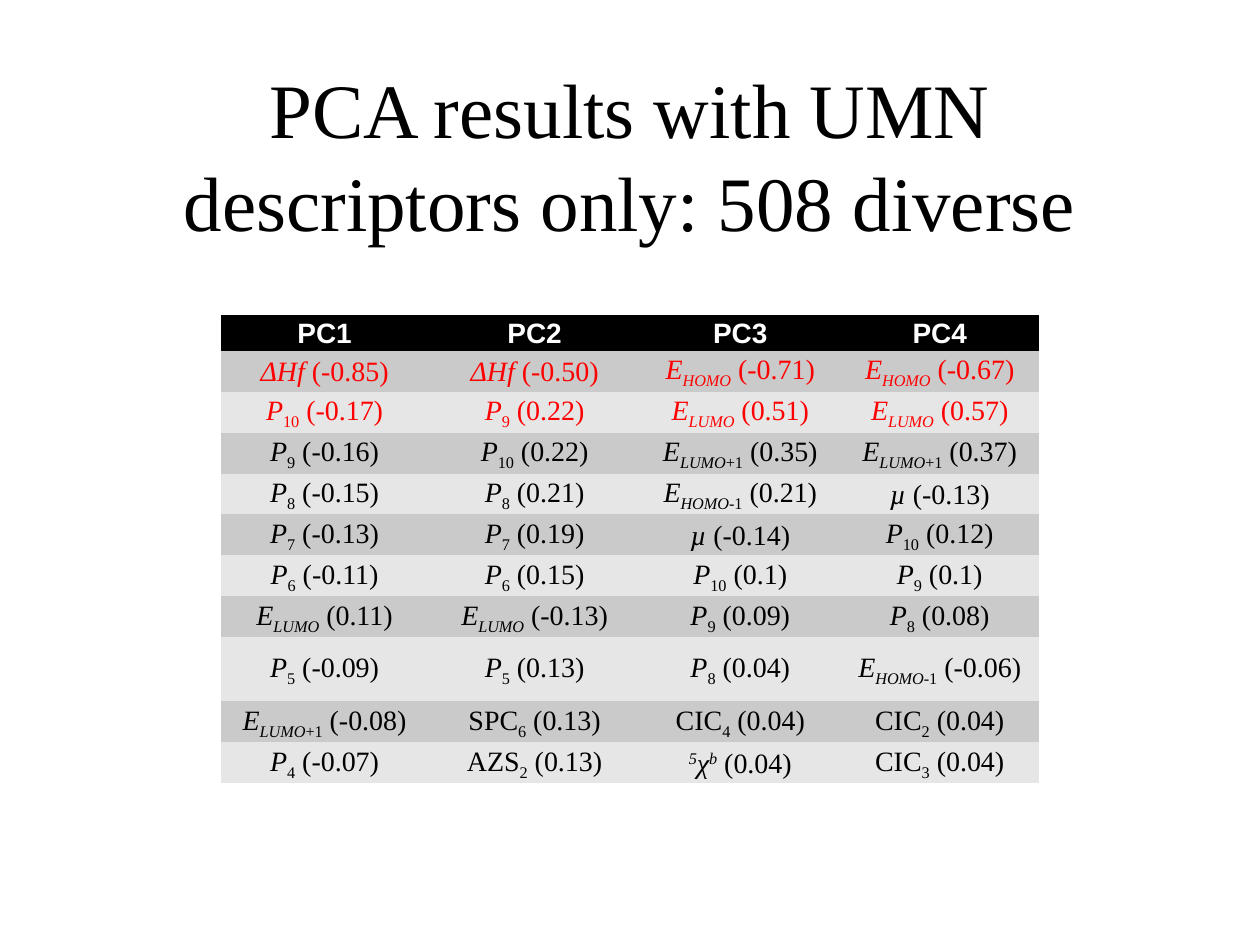
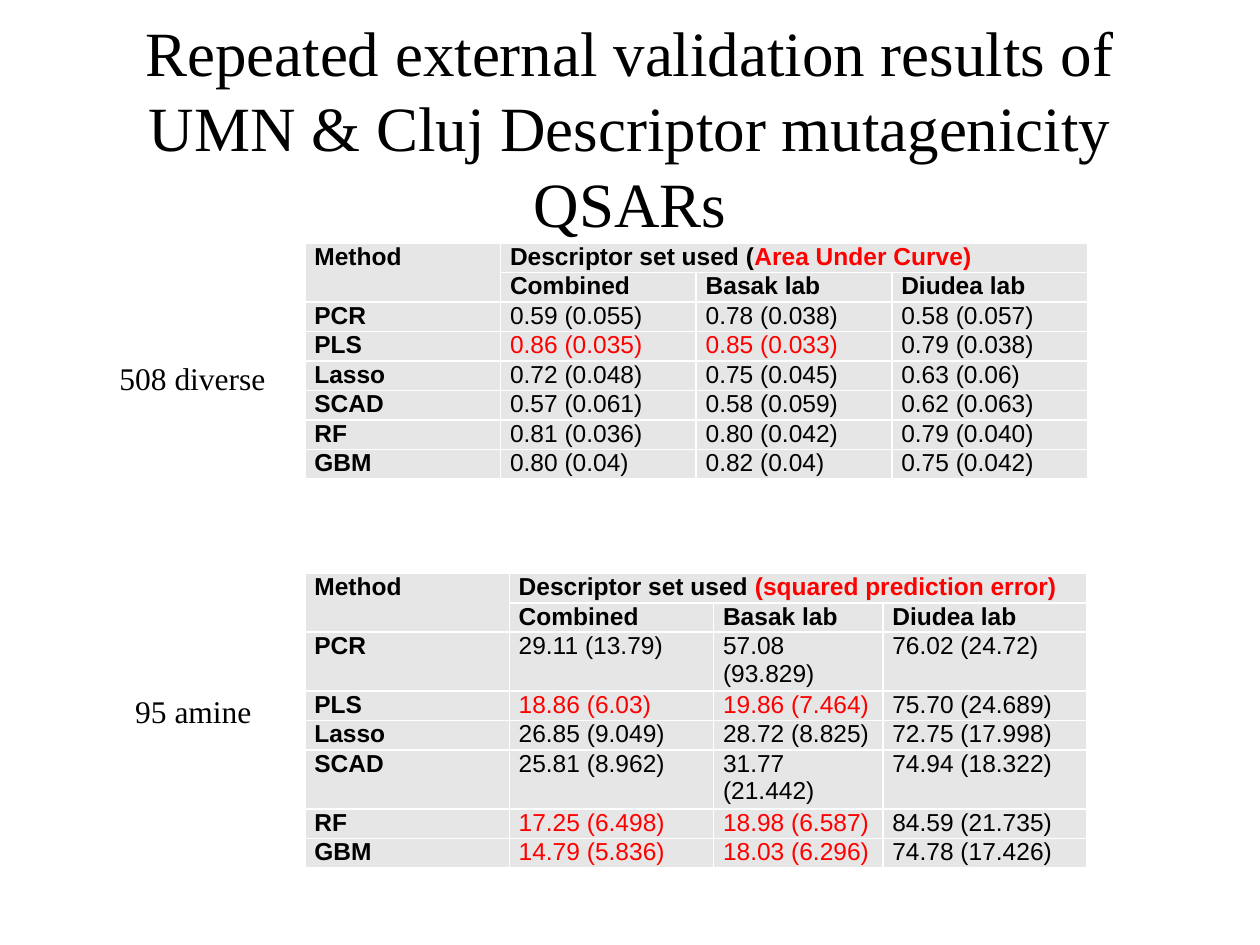
from lxml.etree import SubElement as Sub
from pptx import Presentation
from pptx.dml.color import RGBColor as Rgb
from pptx.enum.text import MSO_ANCHOR as Anchor, PP_ALIGN as Align
from pptx.oxml.ns import qn
from pptx.util import Inches, Pt

COLORS = {"ink": "000000", "paper": "FFFFFF", "hot": "FF0000",
          "dark": "CACACA", "light": "E6E6E6"}
SERIF, SANS = "Times New Roman", "Arial"
COLS, ROWS = 100, 75
PLAIN = "{2D5ABB26-0587-4C30-8999-92F81FD0307C}"

LOADS = [
    ["ΔHf (-0.85)", "ΔHf (-0.50)", "E_HOMO (-0.71)", "E_HOMO (-0.67)"],
    ["P_10 (-0.17)", "P_9 (0.22)", "E_LUMO (0.51)", "E_LUMO (0.57)"],
    ["P_9 (-0.16)", "P_10 (0.22)", "E_LUMO+1 (0.35)", "E_LUMO+1 (0.37)"],
    ["P_8 (-0.15)", "P_8 (0.21)", "E_HOMO-1 (0.21)", "µ (-0.13)"],
    ["P_7 (-0.13)", "P_7 (0.19)", "µ (-0.14)", "P_10 (0.12)"],
    ["P_6 (-0.11)", "P_6 (0.15)", "P_10 (0.1)", "P_9 (0.1)"],
    ["E_LUMO (0.11)", "E_LUMO (-0.13)", "P_9 (0.09)", "P_8 (0.08)"],
    ["P_5 (-0.09)", "P_5 (0.13)", "P_8 (0.04)", "E_HOMO-1 (-0.06)"],
    ["E_LUMO+1 (-0.08)", "SPC_6 (0.13)", "CIC_4 (0.04)", "CIC_2 (0.04)"],
    ["P_4 (-0.07)", "AZS_2 (0.13)", "5χb (0.04)", "CIC_3 (0.04)"],
]
# A leading * marks a score to stress.
AREAS = [
    ["PCR", "0.59 (0.055)", "0.78 (0.038)", "0.58 (0.057)"],
    ["PLS", "*0.86 (0.035)", "*0.85 (0.033)", "0.79 (0.038)"],
    ["Lasso", "0.72 (0.048)", "0.75 (0.045)", "0.63 (0.06)"],
    ["SCAD", "0.57 (0.061)", "0.58 (0.059)", "0.62 (0.063)"],
    ["RF", "0.81 (0.036)", "0.80 (0.042)", "0.79 (0.040)"],
    ["GBM", "0.80 (0.04)", "0.82 (0.04)", "0.75 (0.042)"],
]
ERRORS = [
    ["PCR", "29.11 (13.79)", "57.08 (93.829)", "76.02 (24.72)"],
    ["PLS", "*18.86 (6.03)", "*19.86 (7.464)", "75.70 (24.689)"],
    ["Lasso", "26.85 (9.049)", "28.72 (8.825)", "72.75 (17.998)"],
    ["SCAD", "25.81 (8.962)", "31.77 (21.442)", "74.94 (18.322)"],
    ["RF", "*17.25 (6.498)", "*18.98 (6.587)", "84.59 (21.735)"],
    ["GBM", "*14.79 (5.836)", "*18.03 (6.296)", "74.78 (17.426)"],
]


def color(name):
    return Rgb.from_string(COLORS[name])


def symbol(text):
    """Split 'E_LUMO+1 (0.35)' into (text, italic, baseline) parts."""
    head, _, value = text.partition(" ")
    name, _, low = head.partition("_")
    if "χ" in name:
        parts = [(sign, True, 0 if sign == "χ" else 30) for sign in name]
    else:
        word = low.rstrip("0123456789+-")
        parts = [(name, name not in ("SPC", "CIC", "AZS"), 0),
                 (word, True, -25), (low[len(word):], False, -25)]
    return [part for part in parts if part[0]] + [(" " + value, False, 0)]


class Deck:
    def __init__(self):
        self.show = Presentation()
        self.show.slide_width, self.show.slide_height = Inches(10), Inches(7.5)
        self.slide = None

    def across(self, cols):
        return round(self.show.slide_width * cols / COLS)

    def down(self, rows):
        return round(self.show.slide_height * rows / ROWS)

    def place(self, x, y, w, h):
        return self.across(x), self.down(y), self.across(w), self.down(h)

    def page(self, title, size, top):
        self.slide = self.show.slides.add_slide(self.show.slide_layouts[6])
        self.text(title, (7.5, top, 85, 21.7), size, Align.CENTER, Anchor.MIDDLE)

    def style(self, para, size, face, tint, bold=False, align=Align.LEFT, gap=1.0):
        para.alignment, para.line_spacing = align, gap
        font = para.font
        font.size, font.name, font.bold = Pt(size), face, bold
        font.color.rgb = color(tint)

    def text(self, words, area, size=18, align=Align.LEFT, anchor=Anchor.TOP):
        frame = self.slide.shapes.add_textbox(*self.place(*area)).text_frame
        frame.word_wrap, frame.vertical_anchor = True, anchor
        para = frame.paragraphs[0]
        para.add_run().text = words
        self.style(para, size, SERIF, "ink", align=align)

    def table(self, x, y, widths, heights):
        area = self.place(x, y, sum(widths), sum(heights))
        grid = self.slide.shapes.add_table(len(heights), len(widths), *area).table
        grid.first_row = grid.horz_banding = False
        grid._tbl.tblPr.find(qn("a:tableStyleId")).text = PLAIN
        for col, width in zip(grid.columns, widths):
            col.width = self.across(width)
        for row, height in zip(grid.rows, heights):
            row.height = self.down(height)
        return grid

    def edge(self, cell):
        """Draw thin white lines on all four sides of a cell."""
        props = cell._tc.get_or_add_tcPr()
        for side in "LRTB":
            line = Sub(props, qn("a:ln" + side), w=str(Pt(1)))
            Sub(Sub(line, qn("a:solidFill")), qn("a:srgbClr"), val=COLORS["paper"])

    def cell(self, cell, fill, anchor=Anchor.TOP):
        cell.margin_left = cell.margin_right = Pt(5.4)
        cell.margin_top = cell.margin_bottom = 0
        cell.vertical_anchor = anchor
        cell.fill.solid()
        cell.fill.fore_color.rgb = color(fill)
        return cell.text_frame.paragraphs[0]

    def loads(self, x, y, widths, heights):
        grid = self.table(x, y, widths, heights)
        for c in range(len(widths)):
            para = self.cell(grid.cell(0, c), "ink", Anchor.MIDDLE)
            para.add_run().text = f"PC{c + 1}"
            self.style(para, 16, SANS, "paper", True, Align.CENTER, 1.07)
        for r, row in enumerate(LOADS, 1):
            for c, item in enumerate(row):
                fill = "dark" if r % 2 else "light"
                para = self.cell(grid.cell(r, c), fill, Anchor.MIDDLE)
                for words, slant, base in symbol(item):
                    run = para.add_run()
                    run.text, run.font.italic = words, slant
                    if base:
                        run._r.get_or_add_rPr().set("baseline", str(base * 1000))
                self.style(para, 16, SERIF, "hot" if r < 3 else "ink",
                           align=Align.CENTER, gap=1.07)

    def scores(self, x, y, widths, heights, lead, metric, data):
        grid = self.table(x, y, widths, heights)
        rows = [["Method", lead, "", ""],
                ["", "Combined", "Basak lab", "Diudea lab"]] + data
        for r, row in enumerate(rows):
            for c, item in enumerate(row):
                cell = grid.cell(r, c)
                self.edge(cell)
                para = self.cell(cell, "light")
                if item:
                    para.add_run().text = item.lstrip("*")
                if item == lead:
                    run = para.add_run()
                    run.text, run.font.color.rgb = metric, color("hot")
                self.style(para, 14, SANS, "hot" if item.startswith("*") else "ink",
                           r < 2 or c == 0)
        grid.cell(0, 0).merge(grid.cell(1, 0))
        grid.cell(0, 1).merge(grid.cell(0, 3))


def main():
    deck = Deck()
    deck.page("PCA results with UMN descriptors only: 508 diverse", 44, 1.4)
    deck.loads(17.5, 25, [16.52, 16.82, 15.83, 15.83], [2.5] * 8 + [5.1] + [2.5] * 2)

    deck.page("Repeated external validation results of UMN & Cluj "
              "Descriptor mutagenicity QSARs", 36, -0.8)
    deck.scores(24.2, 19.3, [15.53] * 4, [1.9] * 8,
                "Descriptor set used (", "Area Under Curve)", AREAS)
    deck.scores(24.2, 45.5, [16.22, 16.22, 13.44, 16.22], [1.9] * 5 + [2.6] + [1.9] * 2,
                "Descriptor set used ", "(squared prediction error)", ERRORS)
    deck.text("508 diverse", (8.5, 28, 14.4, 4.1))
    deck.text("95 amine", (8.5, 54.4, 13.7, 4.1), align=Align.CENTER)
    deck.show.save("out.pptx")


if __name__ == "__main__":
    main()
